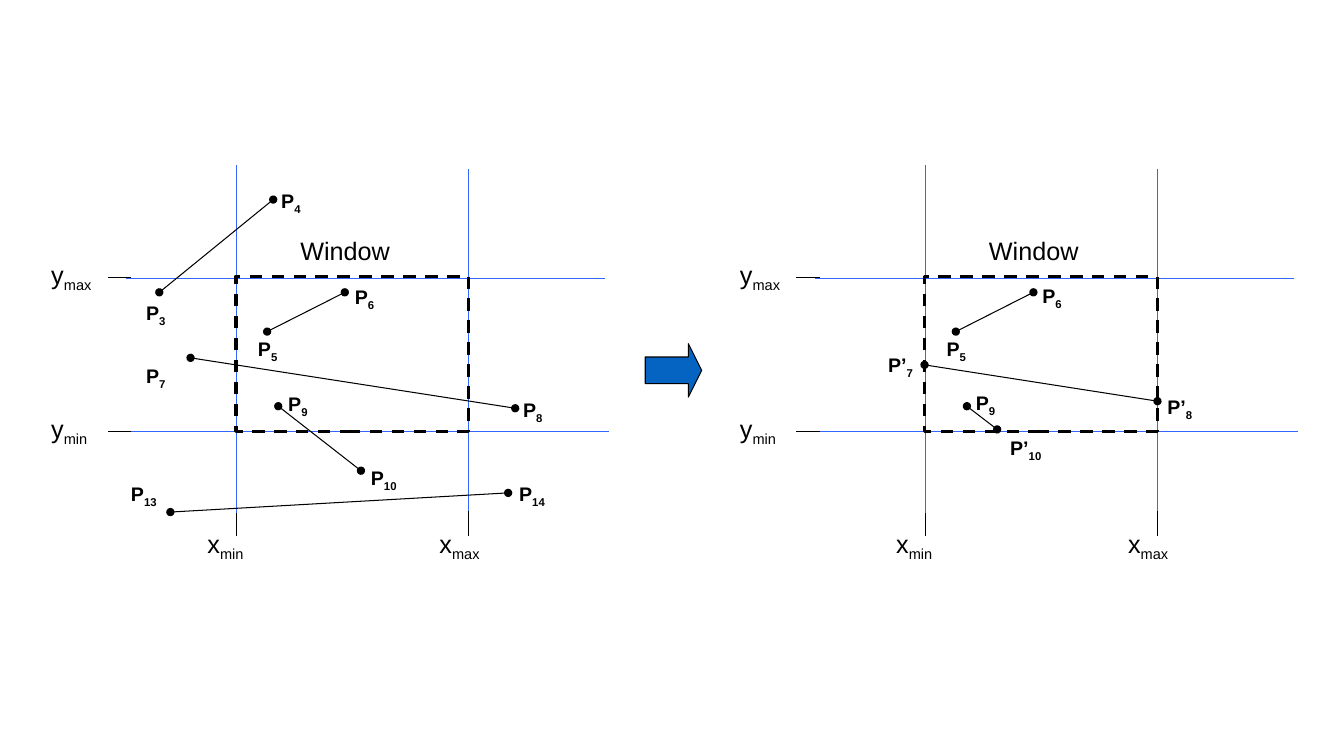
"""Builds a slide that shows lines before and after clipping to a window."""
from lxml import etree
from pptx import Presentation
from pptx import util as u
from pptx.dml.color import RGBColor
from pptx.enum import dml, shapes, text
from pptx.oxml.ns import qn

BLACK = RGBColor(0x00, 0x00, 0x00)
GUIDE = RGBColor(0x33, 0x66, 0xFF)
ARROW = RGBColor(0x05, 0x63, 0xC1)

prs = Presentation()
prs.slide_width, prs.slide_height = u.Inches(13.33), u.Inches(7.5)
COL, ROW = prs.slide_width / 133.3, prs.slide_height / 75
s = prs.slides.add_slide(prs.slide_layouts[6])


def add_line(x1, y1, x2, y2, color=BLACK, dots=False):
    c = s.shapes.add_connector(shapes.MSO_CONNECTOR.STRAIGHT, int(x1 * COL), int(y1 * ROW),
                               int(x2 * COL), int(y2 * ROW))
    c.line.color.rgb, c.line.width = color, u.Pt(0.75)
    if dots:
        for end in ("a:headEnd", "a:tailEnd"):
            etree.SubElement(c.line._get_or_add_ln(), qn(end), type="oval")
    etree.SubElement(c._element.spPr, qn("a:effectLst"))


def add_label(x, y, w, h, name, sub, size, bold=False):
    tf = s.shapes.add_textbox(int(x * COL), int(y * ROW), int(w * COL), int(h * ROW)).text_frame
    tf.word_wrap = False
    tf.auto_size = text.MSO_AUTO_SIZE.SHAPE_TO_FIT_TEXT
    p = tf.paragraphs[0]
    p.font.name, p.font.size, p.font.bold = "Arial", u.Pt(size), bold
    p.font.color.rgb = BLACK
    p.add_run().text = name
    if sub:
        r = p.add_run()
        r.text = sub
        r._r.get_or_add_rPr().set("baseline", "-25000")


guides = [(23.5, 16.4, 23.5, 51.1), (46.5, 16.8, 46.5, 51.5),
          (60, 27.6, 12.5, 27.6), (60.4, 42.8, 13, 42.8)]
ticks = [(13, 27.5, 10.7, 27.5), (13, 42.8, 10.7, 42.8),
         (23.5, 50.9, 23.5, 53.2), (46.5, 50.7, 46.5, 53.2)]
axis_labels = [(4.1, 25.2, 6.5, "y", "max"), (4.1, 40.5, 6, "y", "min"),
               (19.6, 51.9, 6, "x", "min"), (42.6, 51.9, 6.5, "x", "max"),
               (28.8, 22.9, 10.9, "Window", "")]

before_lines = [(26.5, 32.9, 34.2, 29), (15.8, 29, 27.1, 19.8), (27.6, 40.3, 35.8, 46.7),
                (18.9, 35.5, 51.1, 40.5), (16.9, 50.8, 50.4, 48.9)]
before_labels = [(13.5, 29.4, "P", "3"), (34.2, 27.8, "P", "6"), (24.6, 32.9, "P", "5"),
                 (13.5, 35.6, "P", "7"), (35.8, 45.7, "P", "10"), (27.6, 38.4, "P", "9"),
                 (26.9, 18.3, "P", "4"), (50.9, 39, "P", "8"), (12, 47.3, "P", "13"),
                 (50.5, 47.3, "P", "14")]
after_lines = [(26.5, 32.9, 34.2, 29), (27.6, 40.3, 30.6, 42.6), (23.4, 36.2, 46.5, 39.8)]
after_labels = [(34.1, 27.7, "P", "6"), (24.6, 32.9, "P", "5"), (18.8, 34.5, "P’", "7"),
                (30.9, 42.8, "P’", "10"), (27.5, 38.3, "P", "9"), (46.5, 38.7, "P’", "8")]

for left, lines, labels in ((0, before_lines, before_labels), (68.3, after_lines, after_labels)):
    for x1, y1, x2, y2 in guides:
        add_line(left + x1, y1, left + x2, y2, GUIDE)

    sp = s.shapes.add_shape(shapes.MSO_SHAPE.RECTANGLE, int((left + 23.4) * COL), int(27.4 * ROW),
                            int(23.1 * COL), int(15.4 * ROW))
    sp.shadow.inherit = False
    sp.fill.background()
    sp.line.color.rgb, sp.line.width = BLACK, u.Pt(2.25)
    sp.line.dash_style = dml.MSO_LINE.DASH

    for x1, y1, x2, y2 in ticks:
        add_line(left + x1, y1, left + x2, y2)
    for x, y, w, name, sub in axis_labels:
        add_label(left + x, y, w, 4, name, sub, 18)
    for x1, y1, x2, y2 in lines:
        add_line(left + x1, y1, left + x2, y2, dots=True)
    for x, y, name, sub in labels:
        w = 2.8 + 0.6 * len(name) + 0.7 * len(sub)
        add_label(left + x, y, w, 3.4, name, sub, 14, True)

sp = s.shapes.add_shape(shapes.MSO_SHAPE.RIGHT_ARROW, int(64 * COL), int(34.1 * ROW),
                        int(5.6 * COL), int(5.3 * ROW))
sp.adjustments[0], sp.adjustments[1] = 0.5, 0.25
sp.shadow.inherit = False
sp.fill.solid()
sp.fill.fore_color.rgb = ARROW
sp.line.color.rgb, sp.line.width = BLACK, u.Pt(0.75)

prs.save("out.pptx")
